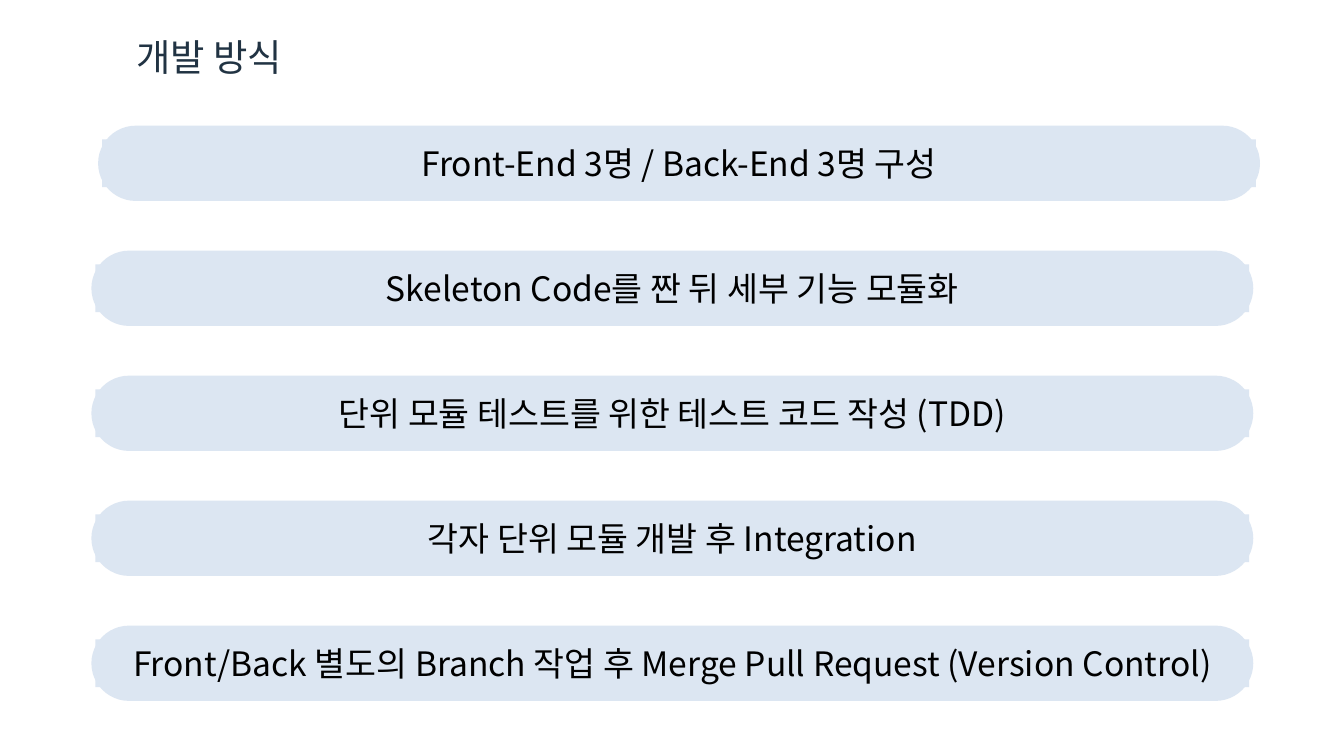
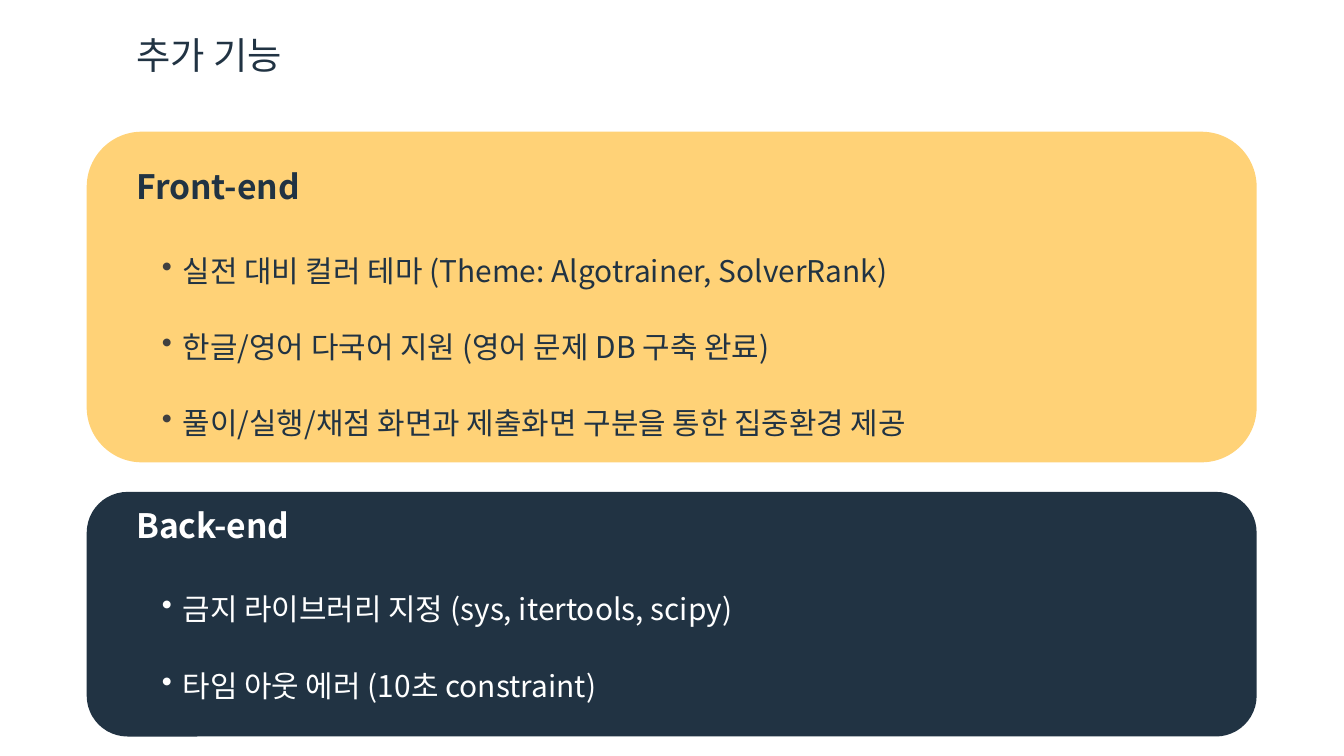
from dataclasses import dataclass

from lxml import etree
from pptx import Presentation
from pptx import util as u
from pptx.dml.color import RGBColor
from pptx.enum import shapes, text
from pptx.oxml import ns


@dataclass(frozen=True)
class Theme:
    face: str = "Noto Sans CJK KR"
    navy: str = "213343"
    gold: str = "FFD277"
    pale: str = "DCE6F2"
    gray: str = "404040"
    black: str = "000000"
    white: str = "FFFFFF"
    title: int = 40
    head: int = 36
    body: int = 32


COLS, ROWS = 80, 45
LEFT = 7.72
ROUND = shapes.MSO_SHAPE.ROUNDED_RECTANGLE
RECT = shapes.MSO_SHAPE.RECTANGLE


def add(node, tag, **attrs):
    return etree.SubElement(node, ns.qn(tag), attrs)


def write(frame, lines, size, color, face, bold=False, center=False, dot=None):
    frame.word_wrap = True
    frame.auto_size = text.MSO_AUTO_SIZE.SHAPE_TO_FIT_TEXT
    for i, line in enumerate(lines):
        para = frame.add_paragraph() if i else frame.paragraphs[0]
        para.alignment = text.PP_ALIGN.CENTER if center else text.PP_ALIGN.LEFT
        if dot:
            para.line_spacing = 2.0
            para.space_before = u.Pt(5 if i else 0)
            props = para._p.get_or_add_pPr()
            props.set("marL", str(u.Inches(0.69)))
            props.set("indent", str(u.Inches(-0.31)))
            add(add(props, "a:buClr"), "a:srgbClr", val=dot)
            add(props, "a:buChar", char="•")
        run = para.add_run()
        run.text = line
        font = run.font
        font.size, font.bold, font.name = u.Pt(size), bold, face
        font.color.rgb = RGBColor.from_string(color)
        add(run._r.get_or_add_rPr(), "a:ea", typeface=face)


class Deck:
    def __init__(self, theme):
        self.theme = theme
        self.show = Presentation()
        self.show.slide_width = u.Inches(20)
        self.show.slide_height = u.Inches(11.25)
        self.slide = None

    def box(self, x, y, w, h):
        col = self.show.slide_width / COLS
        row = self.show.slide_height / ROWS
        return round(x * col), round(y * row), round(w * col), round(h * row)

    def page(self, title, y):
        self.slide = self.show.slides.add_slide(self.show.slide_layouts[6])
        self.label([title], LEFT, y, 11.28, 3.08,
                   size=self.theme.title, color=self.theme.navy)

    def label(self, lines, x, y, w, h, **style):
        item = self.slide.shapes.add_textbox(*self.box(x, y, w, h))
        write(item.text_frame, lines, face=self.theme.face, **style)

    def block(self, kind, x, y, w, h, fill, home=None):
        home = home or self.slide
        item = home.shapes.add_shape(kind, *self.box(x, y, w, h))
        item.shadow.inherit = False
        item.fill.solid()
        item.fill.fore_color.rgb = RGBColor.from_string(fill)
        item.line.fill.background()
        return item

    def pill(self, line, x, y, w=69.16, h=4.48):
        t = self.theme
        group = self.slide.shapes.add_group_shape()
        base = self.block(ROUND, x, y, w, h, t.pale, group)
        base.adjustments[0] = 0.5
        core = self.block(RECT, x + 0.24, y + 0.82, w - 0.48, h - 1.64, t.pale, group)
        core.text_frame.vertical_anchor = text.MSO_ANCHOR.MIDDLE
        write(core.text_frame, [line], t.head, t.black, t.face, center=True)

    def panel(self, head, lines, y, h, top, deep, fill, ink, dot):
        t = self.theme
        self.block(ROUND, 5.16, y, 69.64, h, fill)
        self.label([head], LEFT, top, 10.8, 2.84, size=t.head, color=ink, bold=True)
        self.label(lines, LEFT, top + 3, 54.88, deep, size=t.body, color=ink, dot=dot)


def main():
    t = Theme()
    deck = Deck(t)

    deck.page("개발 방식", 1.84)
    steps = [
        "Front-End 3명 / Back-End 3명 구성",
        "Skeleton Code를 짠 뒤 세부 기능 모듈화",
        "단위 모듈 테스트를 위한 테스트 코드 작성 (TDD)",
        "각자 단위 모듈 개발 후 Integration",
        "Front/Back 별도의 Branch 작업 후 Merge Pull Request (Version Control)",
    ]
    for i, step in enumerate(steps):
        deck.pill(step, 5.44 if i else 5.84, 7.48 + i * 7.44)

    deck.page("추가 기능", 1.72)
    deck.panel("Front-end", [
        "실전 대비 컬러 테마 (Theme: Algotrainer, SolverRank)",
        "한글/영어 다국어 지원 (영어 문제 DB 구축 완료)",
        "풀이/실행/채점 화면과 제출화면 구분을 통한 집중환경 제공",
    ], 7.84, 19.68, 9.68, 13.2, t.gold, t.navy, t.gray)
    deck.panel("Back-end", [
        "금지 라이브러리 지정 (sys, itertools, scipy)",
        "타임 아웃 에러 (10초 constraint)",
    ], 29.28, 14.56, 29.84, 8.64, t.navy, t.white, t.white)

    deck.show.save("out.pptx")


if __name__ == "__main__":
    main()
